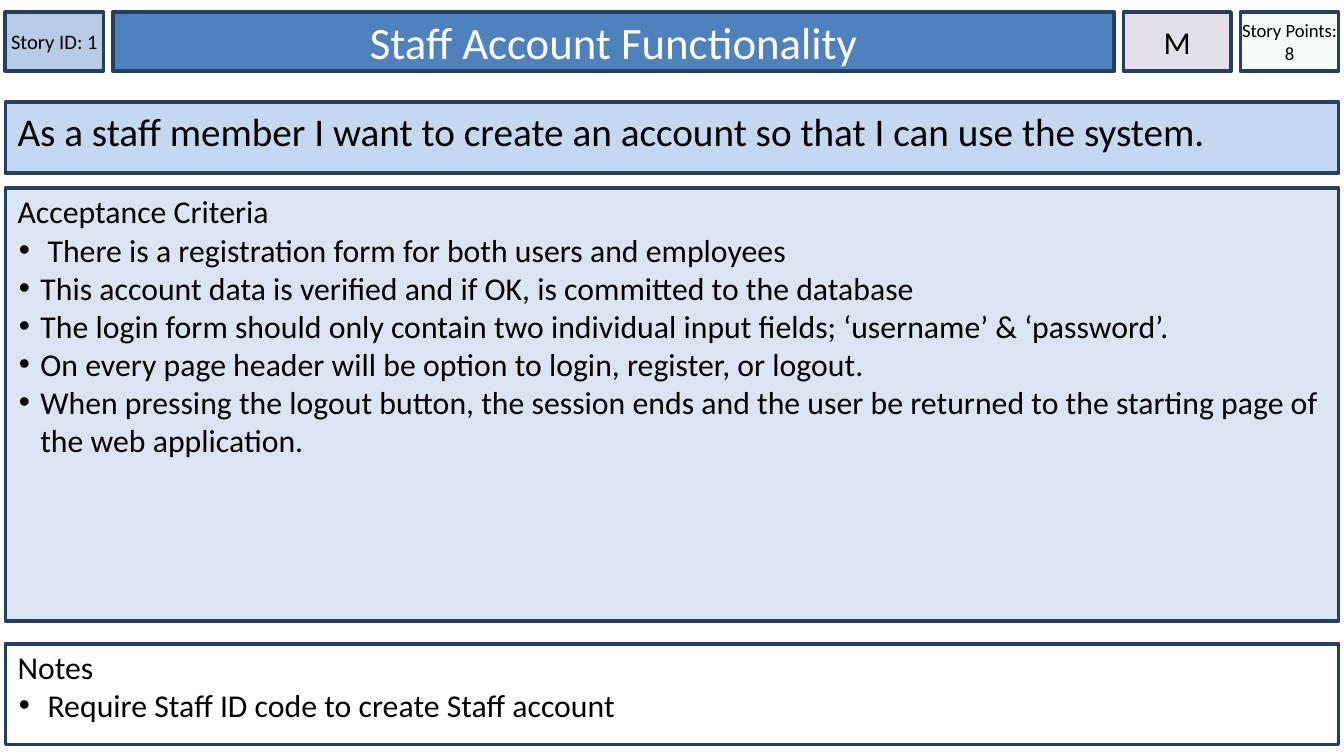
from lxml import etree
from pptx import Presentation
from pptx.dml.color import RGBColor
from pptx.enum import shapes, text
from pptx.oxml import ns
from pptx.util import Inches, Pt

NAVY = RGBColor(0x24, 0x40, 0x61)
BLUE = RGBColor(0x4F, 0x81, 0xBD)
STEEL = RGBColor(0xB7, 0xCC, 0xE4)
SKY = RGBColor(0xC5, 0xD8, 0xF1)
PALE = RGBColor(0xDA, 0xE5, 0xF1)
LILAC = RGBColor(0xE5, 0xDF, 0xEC)
MINT = RGBColor(0xCC, 0xF0, 0xCD)
WHITE = RGBColor(0xFF, 0xFF, 0xFF)
BLACK = RGBColor(0, 0, 0)

FONT = "Calibri"
LEFT, WIDE = 0.04, 9.92
TOP, HIGH = 0.09, 0.44

CRITERIA = [
    " There is a registration form for both users and employees",
    "This account data is verified and if OK, is committed to the database",
    "The login form should only contain two individual input fields; ‘username’ & ‘password’.",
    "On every page header will be option to login, register, or logout.",
    "When pressing the logout button, the session ends and the user be returned "
    "to the starting page of the web application.",
]
NOTES = [" Require Staff ID code to create Staff account"]


def add_box(slide, left, top, width, height, fill, side=0.09, head=0.04):
    """Add an outlined box; side and head are its text margins."""
    box = slide.shapes.add_shape(
        shapes.MSO_SHAPE.RECTANGLE,
        Inches(left), Inches(top), Inches(width), Inches(height))
    box.shadow.inherit = False
    box.fill.solid()
    box.fill.fore_color.rgb = fill
    box.line.color.rgb = NAVY
    box.line.width = Pt(2)
    frame = box.text_frame
    frame.word_wrap = True
    frame.vertical_anchor = text.MSO_ANCHOR.TOP
    frame.margin_left = frame.margin_right = Inches(side)
    frame.margin_top = Inches(head)
    frame.margin_bottom = Inches(0.04)
    return box


def add_run(para, words, size, color=BLACK, align=text.PP_ALIGN.LEFT):
    para.alignment = align
    run = para.add_run()
    run.text = words
    run.font.name = FONT
    run.font.size = Pt(size)
    run.font.color.rgb = color


def add_bullet(para):
    props = para._p.get_or_add_pPr()
    props.set("marL", str(Inches(0.17)))
    props.set("indent", str(Inches(-0.16)))
    tint = etree.SubElement(props, ns.qn("a:buClr"))
    etree.SubElement(tint, ns.qn("a:srgbClr"), val=str(BLACK))
    etree.SubElement(props, ns.qn("a:buFont"), typeface="Arial")
    etree.SubElement(props, ns.qn("a:buChar"), char="•")


def add_label(slide, left, width, fill, words, size, color=BLACK, side=0):
    """Add a centred box of the header row."""
    box = add_box(slide, left, TOP, width, HIGH, fill, side)
    box.text_frame.vertical_anchor = text.MSO_ANCHOR.MIDDLE
    add_run(box.text_frame.paragraphs[0], words, size, color,
            text.PP_ALIGN.CENTER)
    return box


def add_list(slide, top, height, fill, title, items):
    """Add a full-width box with a heading and bullets."""
    frame = add_box(slide, LEFT, top, WIDE, height, fill, head=0.03).text_frame
    add_run(frame.paragraphs[0], title, 17)
    for item in items:
        para = frame.add_paragraph()
        add_run(para, item, 17)
        add_bullet(para)


def set_alpha(box, percent):
    color = box.fill._xPr.find(ns.qn("a:solidFill"))[0]
    etree.SubElement(color, ns.qn("a:alpha"), val=str(percent * 1000))


def main():
    deck = Presentation()
    deck.slide_width = Inches(10)
    deck.slide_height = Inches(10 * 9 / 16)
    slide = deck.slides.add_slide(deck.slide_layouts[6])

    add_label(slide, LEFT, 0.73, STEEL, "Story ID: 1", 11)
    add_label(slide, 0.84, 7.45, BLUE, "Staff Account Functionality", 24,
              WHITE, 0.09)

    story = add_box(slide, LEFT, 0.76, WIDE, 0.53, SKY)
    add_run(story.text_frame.paragraphs[0],
            "As a staff member I want to create an account "
            "so that I can use the system.", 21)
    add_list(slide, 1.4, 3.22, PALE, "Acceptance Criteria", CRITERIA)

    points = add_label(slide, 9.23, 0.73, MINT, "Story Points: 8", 10)
    set_alpha(points, 20)
    add_label(slide, 8.36, 0.8, LILAC, "M", 17)
    add_list(slide, 4.79, 0.75, WHITE, "Notes", NOTES)

    deck.save("out.pptx")


if __name__ == "__main__":
    main()
